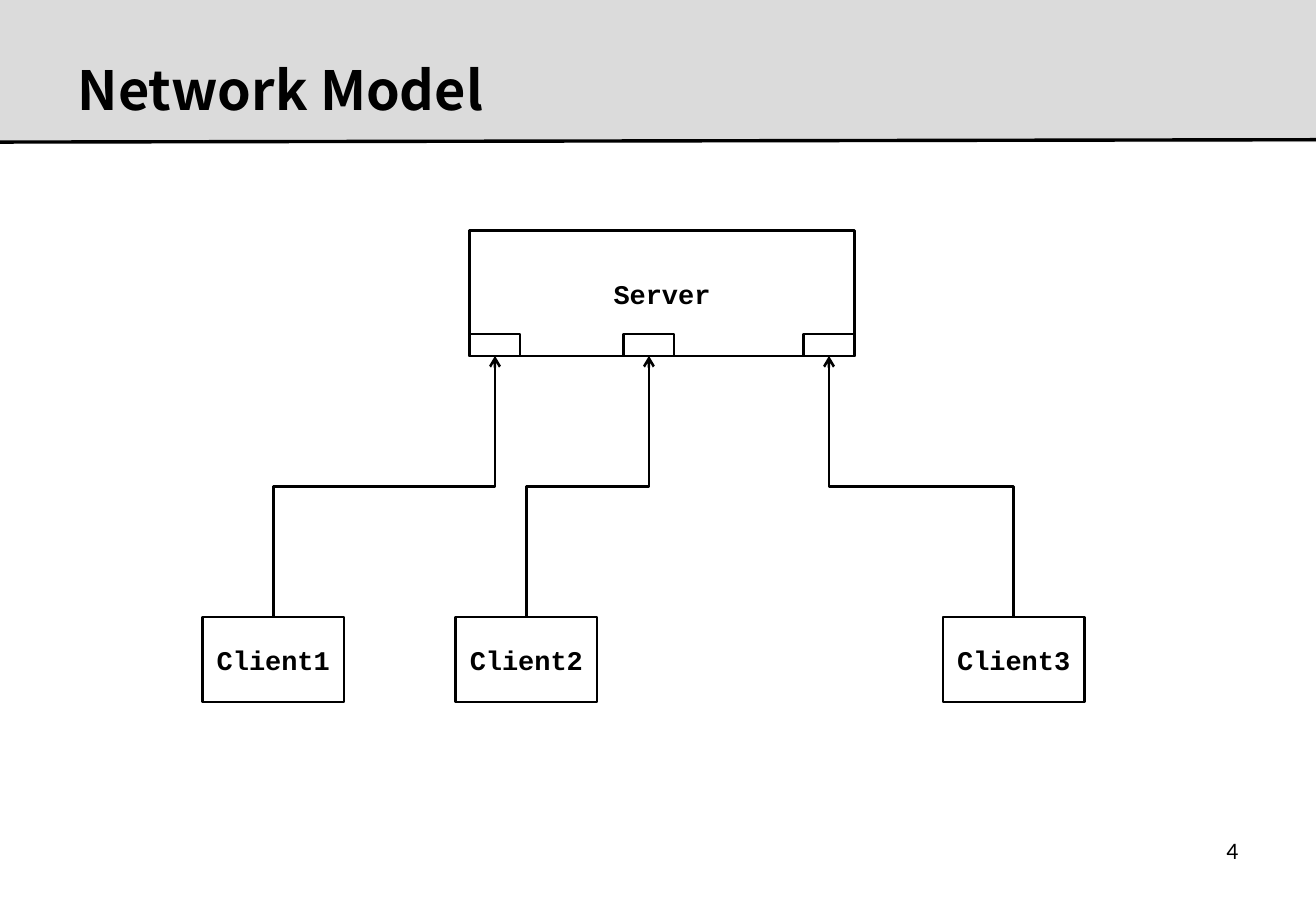
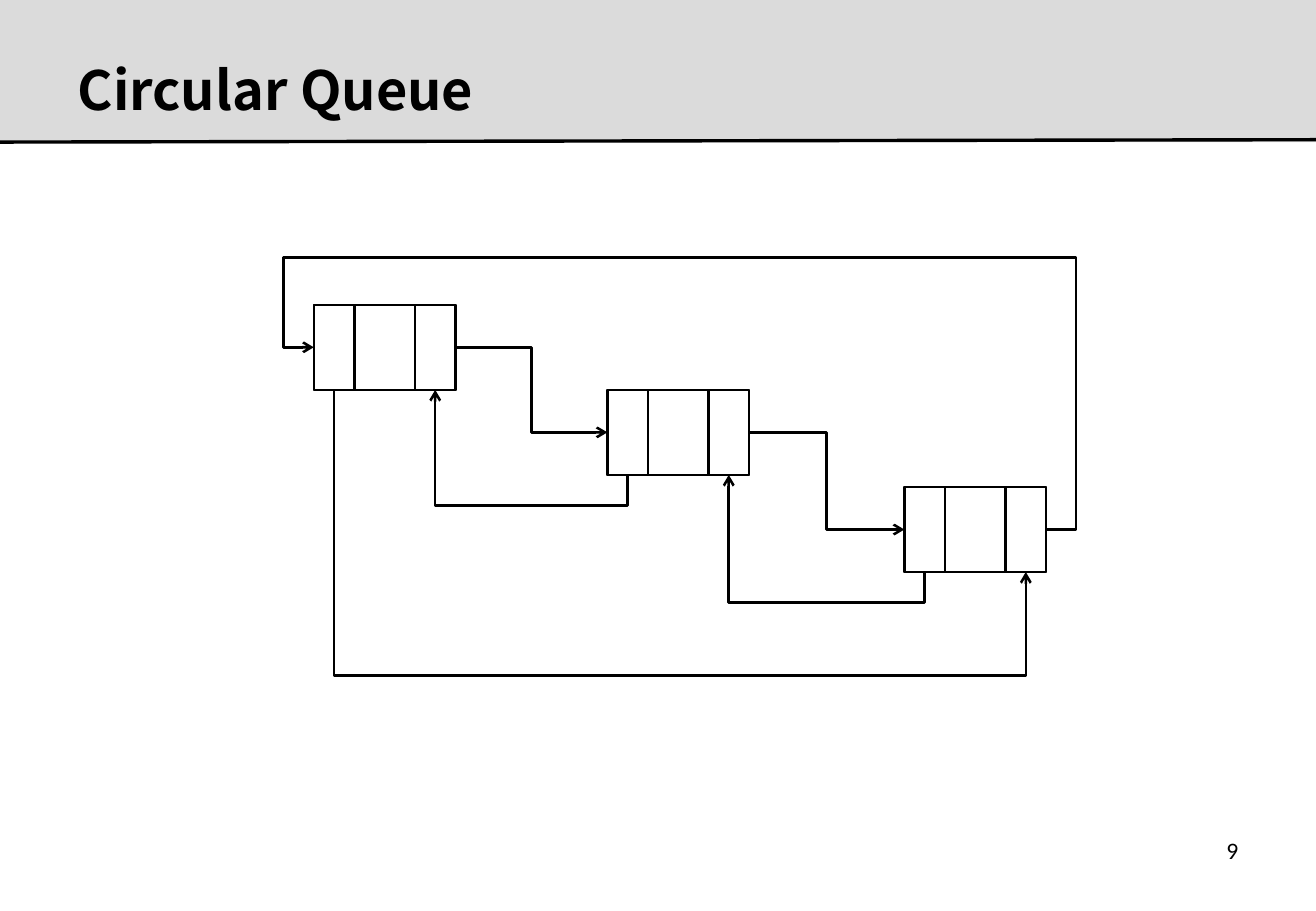
import pptx
import pptx.util
import pptx.dml.color
import pptx.enum.shapes
import pptx.enum.text
import pptx.oxml.ns
import lxml.etree

Pt = pptx.util.Pt
SHAPE = pptx.enum.shapes.MSO_SHAPE
CONNECTOR = pptx.enum.shapes.MSO_CONNECTOR
ALIGN = pptx.enum.text.PP_ALIGN
ANCHOR = pptx.enum.text.MSO_ANCHOR
qn = pptx.oxml.ns.qn
INK, PAPER, BAND = "000000", "FFFFFF", "DBDBDB"
TOP, LEFT, BOTTOM, RIGHT = range(4)

deck = pptx.Presentation()
deck.slide_width = pptx.util.Inches(65 / 6)
deck.slide_height = pptx.util.Inches(7.5)
COLUMN = deck.slide_width / 65
ROW = deck.slide_height / 75


def add_box(slide, col, row, cols, rows, fill=PAPER, border=1.5, text="",
            font="Courier New", size=16, bold=True, align=ALIGN.CENTER,
            anchor=ANCHOR.MIDDLE, wrap=False):
    place = [int(v) for v in (col * COLUMN, row * ROW, cols * COLUMN, rows * ROW)]
    if fill:
        box = slide.shapes.add_shape(SHAPE.RECTANGLE, *place)
        box.shadow.inherit = False
        box.fill.solid()
        box.fill.fore_color.rgb = pptx.dml.color.RGBColor.from_string(fill)
        if border:
            box.line.color.rgb = pptx.dml.color.RGBColor.from_string(INK)
            box.line.width = Pt(border)
        else:
            box.line.fill.background()
    else:
        box = slide.shapes.add_textbox(*place)
    if text:
        box.text_frame.word_wrap = wrap
        box.text_frame.vertical_anchor = anchor
        paragraph = box.text_frame.paragraphs[0]
        paragraph.alignment = align
        run = paragraph.add_run()
        run.text = text
        run.font.name, run.font.size, run.font.bold = font, Pt(size), bold
        run.font.color.rgb = pptx.dml.color.RGBColor.from_string(INK)
    return box


def add_link(slide, source, source_side, target, target_side, bends=(0.5,)):
    link = slide.shapes.add_connector(CONNECTOR.ELBOW, 0, 0, 0, 0)
    link.begin_connect(source, source_side)
    link.end_connect(target, target_side)
    link.line.color.rgb = pptx.dml.color.RGBColor.from_string(INK)
    link.line.width = Pt(1.5)
    properties = link._element.spPr
    if source_side in (TOP, BOTTOM):
        dx, dy = link.end_x - link.begin_x, link.end_y - link.begin_y
        middle_x, middle_y = link.begin_x + dx // 2, link.begin_y + dy // 2
        link.width, link.height = abs(dy), abs(dx)
        link.left, link.top = middle_x - abs(dy) // 2, middle_y - abs(dx) // 2
        frame = properties.find(qn("a:xfrm"))
        frame.set("rot", "5400000")
        frame.set("flipH", str(int(dy < 0)))
        frame.set("flipV", str(int(dx > 0)))
    geometry = properties.find(qn("a:prstGeom"))
    geometry.set("prst", f"bentConnector{len(bends) + 2}")
    guides = geometry.find(qn("a:avLst"))
    for number, bend in enumerate(bends, 1):
        lxml.etree.SubElement(guides, qn("a:gd"), name=f"adj{number}",
                              fmla=f"val {round(bend * 100000)}")
    lxml.etree.SubElement(properties.find(qn("a:ln")), qn("a:tailEnd"), type="arrow")
    lxml.etree.SubElement(properties, qn("a:effectLst"))


slides = []
for title, number in (("Network Model", "4"), ("Circular Queue", "9")):
    slide = deck.slides.add_slide(deck.slide_layouts[6])
    add_box(slide, 0, 0, 65, 11.7, fill=BAND, border=None)
    rule = slide.shapes.add_connector(CONNECTOR.STRAIGHT, 0, int(11.7 * ROW),
                                      deck.slide_width, int(11.5 * ROW))
    rule.line.color.rgb = pptx.dml.color.RGBColor.from_string(INK)
    rule.line.width = Pt(2)
    lxml.etree.SubElement(rule._element.spPr, qn("a:effectLst"))
    add_box(slide, 3.25, 3.8, 58.5, 7, fill=None, text=title, wrap=True,
            font="Noto Sans CJK KR", size=32, align=ALIGN.LEFT)
    add_box(slide, 46.55, 68.3, 15.2, 5.2, fill=None, text=number, wrap=True,
            font="Calibri", size=14, bold=False, align=ALIGN.RIGHT, anchor=ANCHOR.TOP)
    slides.append(slide)
network, queue = slides

add_box(network, 23.2, 19, 19, 10.3, text="Server")
for index, (client_col, port_col) in enumerate(((10, 23.2), (22.5, 30.8), (46.57, 39.7)), 1):
    client = add_box(network, client_col, 50.8, 7, 7, text=f"Client{index}")
    port = add_box(network, port_col, 27.5, 2.5, 1.8)
    add_link(network, client, TOP, port, BOTTOM)

NODE_COLS, NODE_ROWS, CELL_COLS = 7, 7, 2
node_places = ((15.5, 25.1), (30, 32.1), (44.67, 40.1))
nodes = []
for col, row in node_places:
    body = add_box(queue, col, row, NODE_COLS, NODE_ROWS)
    previous_cell = add_box(queue, col, row, CELL_COLS, NODE_ROWS)
    next_cell = add_box(queue, col + NODE_COLS - CELL_COLS, row, CELL_COLS, NODE_ROWS)
    nodes.append((body, previous_cell, next_cell))

STUB_COLS, STUB_ROWS = 1.5, 2.5
for index in range(len(nodes) - 1):
    drop = node_places[index + 1][1] - node_places[index][1]
    add_link(queue, nodes[index][2], RIGHT, nodes[index + 1][0], LEFT)
    add_link(queue, nodes[index + 1][1], BOTTOM, nodes[index][2], BOTTOM,
             bends=(-STUB_ROWS / drop,))

first, last = nodes[0], nodes[-1]
span = node_places[-1][0] + NODE_COLS - node_places[0][0]
drop = node_places[-1][1] - node_places[0][1]
add_link(queue, first[1], BOTTOM, last[2], BOTTOM, bends=(1 + 8.5 / drop,))
add_link(queue, last[2], RIGHT, first[0], LEFT,
         bends=(-STUB_COLS / span, 1 + 7.4 / drop, 1 + STUB_COLS / span))

deck.save("out.pptx")
